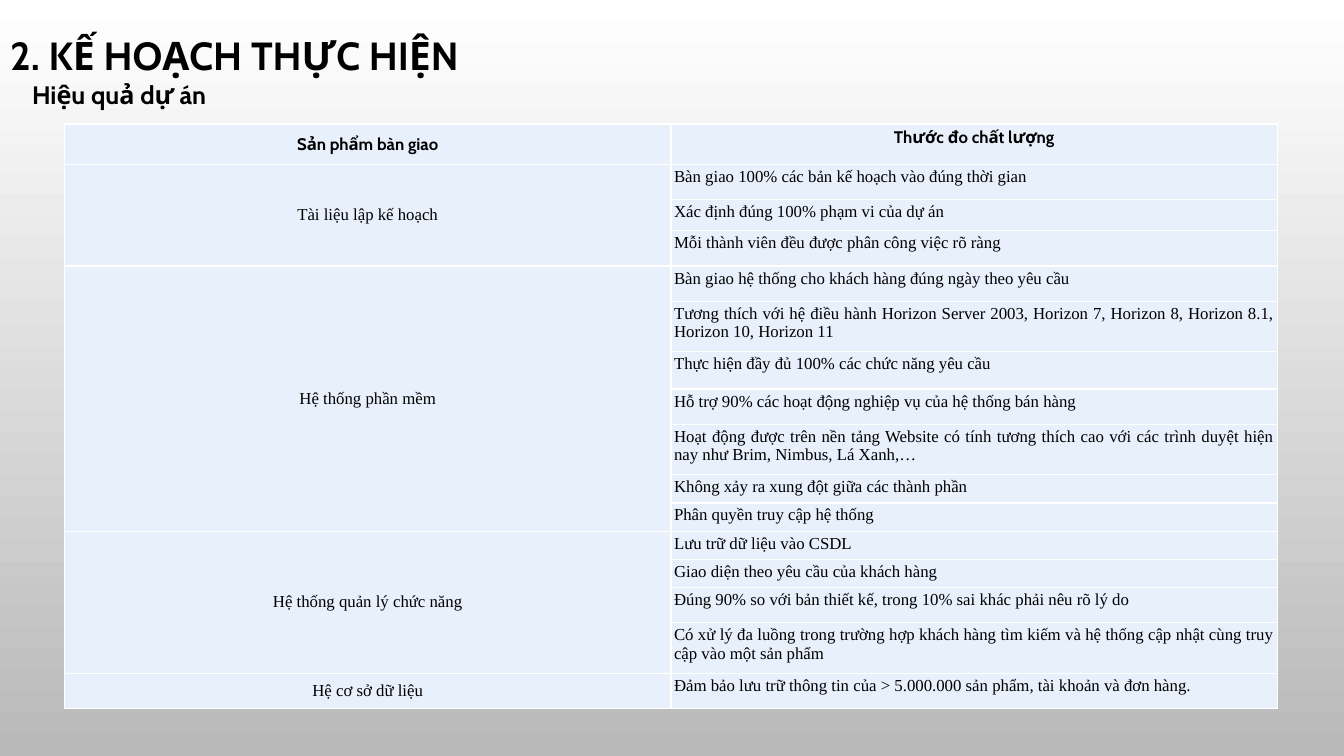
from lxml import etree
from pptx import Presentation
from pptx.dml.color import RGBColor
from pptx.enum import text
from pptx.oxml import ns
from pptx.util import Inches, Pt

# Content: each deliverable with its (measure, row height) pairs
TITLE = "2. KẾ HOẠCH THỰC HIỆN"
SUBTITLE = "Hiệu quả dự án"
HEADINGS = ("Sản phẩm bàn giao", "Thước đo chất lượng")
HEADING_HEIGHT = 0.4
DELIVERABLES = [
    ("Tài liệu lập kế hoạch", [
        ("Bàn giao 100% các bản kế hoạch vào đúng thời gian", 0.35),
        ("Xác định đúng 100% phạm vi của dự án", 0.31),
        ("Mỗi thành viên đều được phân công việc rõ ràng", 0.35),
    ]),
    ("Hệ thống phần mềm", [
        ("Bàn giao hệ thống cho khách hàng đúng ngày theo yêu cầu", 0.35),
        ("Tương thích với hệ điều hành Horizon Server 2003, Horizon 7, Horizon 8, "
         "Horizon 8.1, Horizon 10, Horizon 11", 0.5),
        ("Thực hiện đầy đủ 100% các chức năng yêu cầu", 0.37),
        ("Hỗ trợ 90% các hoạt động nghiệp vụ của hệ thống bán hàng", 0.35),
        ("Hoạt động được trên nền tảng Website có tính tương thích cao với các "
         "trình duyệt hiện nay như Brim, Nimbus, Lá Xanh,…", 0.5),
        ("Không xảy ra xung đột giữa các thành phần", 0.28),
        ("Phân quyền truy cập hệ thống", 0.28),
    ]),
    ("Hệ thống quản lý chức năng", [
        ("Lưu trữ dữ liệu vào CSDL", 0.28),
        ("Giao diện theo yêu cầu của khách hàng", 0.28),
        ("Đúng 90% so với bản thiết kế, trong 10% sai khác phải nêu rõ lý do", 0.35),
        ("Có xử lý đa luồng trong trường hợp khách hàng tìm kiếm và hệ thống cập "
         "nhật cùng truy cập vào một sản phẩm", 0.5),
    ]),
    ("Hệ cơ sở dữ liệu", [
        ("Đảm bảo lưu trữ thông tin của > 5.000.000 sản phẩm, tài khoản và đơn hàng.", 0.35),
    ]),
]

# Formats
HEADING = dict(name="Cabin", size=Pt(12), bold=True)
BODY = dict(name="Times New Roman", size=Pt(12), bold=False)
MARGINS = dict.fromkeys(
    ("margin_left", "margin_right", "margin_top", "margin_bottom"), Inches(0.03))
CENTER, JUSTIFY, LEFT = (text.PP_ALIGN.CENTER, text.PP_ALIGN.JUSTIFY, text.PP_ALIGN.LEFT)
MIDDLE, TOP = text.MSO_ANCHOR.MIDDLE, text.MSO_ANCHOR.TOP


def rgb(value):
    return RGBColor.from_string(value)


def apply(target, values):
    for key, value in values.items():
        setattr(target, key, value)


def write(frame, words, font, align):
    frame.word_wrap = True
    paragraph = frame.paragraphs[0]
    paragraph.alignment = align
    run = paragraph.add_run()
    run.text = words
    apply(run.font, font)
    run.font.color.rgb = rgb("000000")
    return paragraph


def fill_cell(cell, words, font, align, anchor):
    write(cell.text_frame, words, font, align)
    apply(cell, dict(MARGINS, vertical_anchor=anchor))


def style_cell(cell):
    properties = cell._tc.get_or_add_tcPr()
    for side in ("lnL", "lnR", "lnT", "lnB"):
        line = etree.SubElement(properties, ns.qn("a:" + side), w=str(Pt(1)))
        solid = etree.SubElement(line, ns.qn("a:solidFill"))
        etree.SubElement(solid, ns.qn("a:srgbClr"), val="FFFFFF")
    cell.fill.solid()
    cell.fill.fore_color.rgb = rgb("E8F0FC")


# Slide and background
deck = Presentation()
deck.slide_width, deck.slide_height = Inches(13.33), Inches(7.5)
slide = deck.slides.add_slide(deck.slide_layouts[5])
backdrop = slide.background.fill
backdrop.gradient()
backdrop.gradient_angle = 270
for stop, colour in zip(backdrop.gradient_stops, ("FFFFFF", "B9B9B9")):
    stop.color.rgb = rgb(colour)

# Title and subtitle
title = slide.shapes.title
apply(title, dict(left=0, top=0, width=Inches(10.5), height=Inches(1.15)))
title.text_frame.vertical_anchor = MIDDLE
title.text_frame.auto_size = text.MSO_AUTO_SIZE.NONE
write(title.text_frame, TITLE, dict(HEADING, size=Pt(28)), LEFT).line_spacing = 0.9

subtitle = slide.shapes.add_textbox(Inches(0.22), Inches(0.74), Inches(11.16), Inches(0.4))
subtitle.text_frame.auto_size = text.MSO_AUTO_SIZE.SHAPE_TO_FIT_TEXT
write(subtitle.text_frame, SUBTITLE, dict(HEADING, size=Pt(18)), LEFT)

# Table grid
heights = [HEADING_HEIGHT] + [h for _, measures in DELIVERABLES for _, h in measures]
table = slide.shapes.add_table(
    len(heights), len(HEADINGS), Inches(0.64), Inches(1.23),
    Inches(12.03), Inches(sum(heights))).table
apply(table, dict(first_row=False, horz_banding=False))
for row, height in zip(table.rows, heights):
    row.height = Inches(height)
for cell in table.iter_cells():
    style_cell(cell)

# Table text: each deliverable spans the rows of its measures
for column, (heading, anchor) in enumerate(zip(HEADINGS, (MIDDLE, TOP))):
    fill_cell(table.cell(0, column), heading, HEADING, CENTER, anchor)
first = 1
for deliverable, measures in DELIVERABLES:
    last = first + len(measures) - 1
    if last > first:
        table.cell(first, 0).merge(table.cell(last, 0))
    fill_cell(table.cell(first, 0), deliverable, BODY, CENTER, MIDDLE)
    for index, (measure, _) in enumerate(measures, first):
        fill_cell(table.cell(index, 1), measure, BODY, JUSTIFY, TOP)
    first = last + 1

deck.save("out.pptx")
